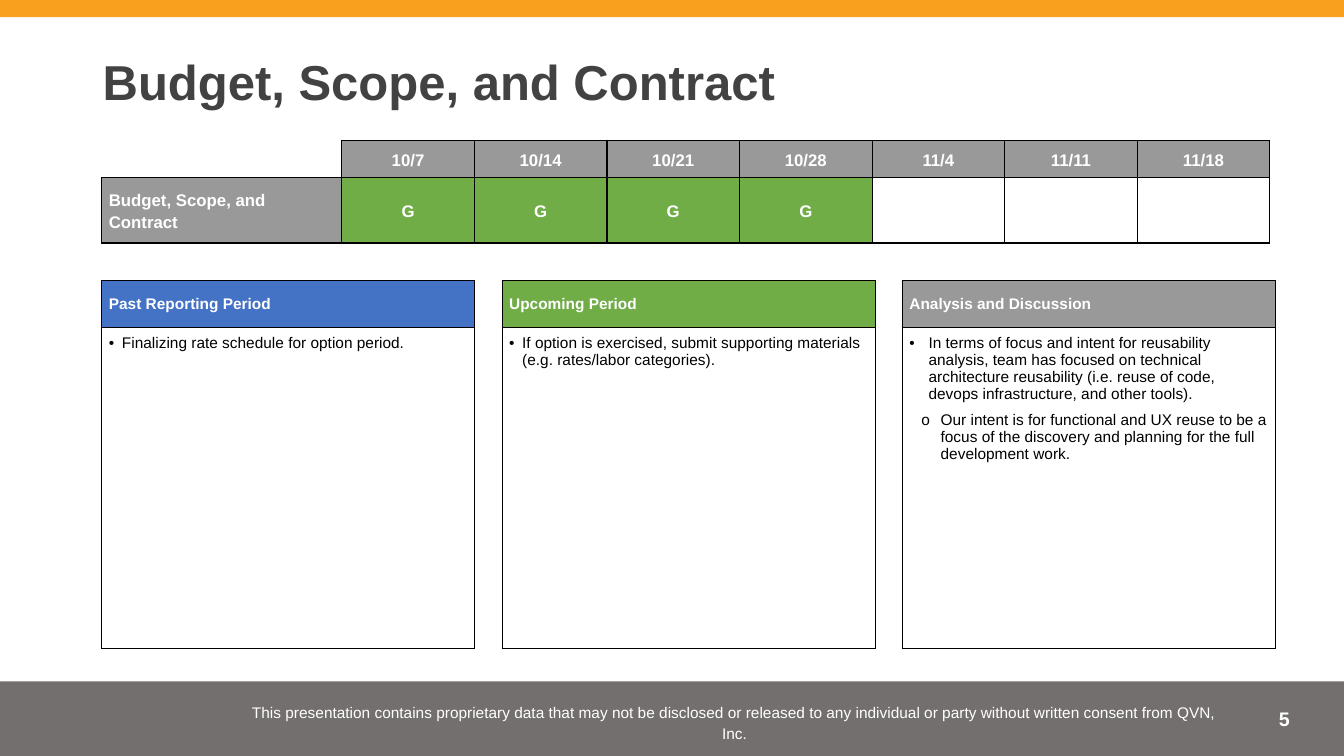
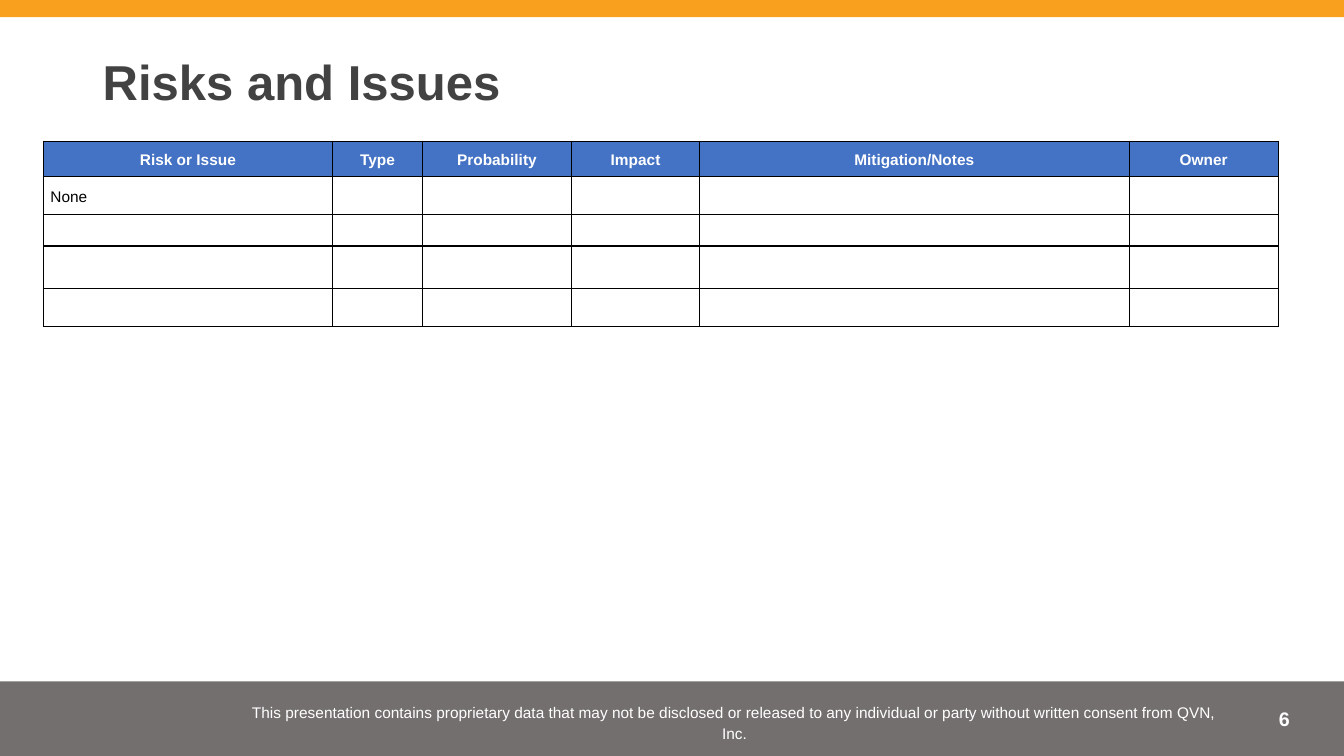
from dataclasses import dataclass

from lxml.etree import SubElement
from pptx import Presentation
from pptx.dml.color import RGBColor
from pptx.enum.shapes import MSO_SHAPE
from pptx.enum.text import MSO_ANCHOR, PP_ALIGN
from pptx.oxml.ns import qn
from pptx.util import Inches, Pt


@dataclass(frozen=True)
class Theme:
    font: str = "Arial"
    white: str = "FFFFFF"
    black: str = "000000"
    ink: str = "424242"
    orange: str = "F9A01E"
    band: str = "4F4949"
    gray: str = "999999"
    green: str = "70AD47"
    blue: str = "4472C4"
    title: int = 35
    page: int = 14
    status: int = 12
    body: int = 11
    blank: int = 8
    pad: float = 0.07
    loose: float = 1.15


WIDTH, HEIGHT = 13.33, 7.5
NOTICE = ("This presentation contains proprietary data that may not be disclosed "
          "or released to any individual or party without written consent from QVN, Inc.")


class Deck:
    def __init__(self, theme):
        self.theme = theme
        self.prs = Presentation()
        self.prs.slide_width = Inches(WIDTH)
        self.prs.slide_height = Inches(HEIGHT)
        self.slide = None

    def page(self, title, number):
        """Start a slide with its bands, footer and title."""
        t = self.theme
        self.slide = self.prs.slides.add_slide(self.prs.slide_layouts[6])
        self.band(6.76, 0.74, t.band, 79)
        self.band(0, 0.17, t.orange)
        self.text((11.81, 6.96, 1.08, 0.4), str(number), t.page, t.white, True,
                  PP_ALIGN.RIGHT, MSO_ANCHOR.TOP, inset=0.05)
        self.text((2.27, 6.89, 10.03, 0.53), NOTICE, t.body, t.white,
                  align=PP_ALIGN.CENTER, spacing=t.loose)
        self.text((0.92, 0.46, 11.5, 0.77), title, t.title, t.ink, True, spacing=0.9)

    def band(self, top, height, color, alpha=100):
        bar = self.slide.shapes.add_shape(
            MSO_SHAPE.RECTANGLE, 0, Inches(top), Inches(WIDTH), Inches(height))
        bar.shadow.inherit = False
        bar.line.fill.background()
        bar.fill.solid()
        bar.fill.fore_color.rgb = RGBColor.from_string(color)
        if alpha < 100:
            paint = bar.fill._xPr.find(".//" + qn("a:srgbClr"))
            SubElement(paint, qn("a:alpha"), val=str(alpha * 1000))

    def text(self, box, words, size, color, bold=False, align=PP_ALIGN.LEFT,
             anchor=MSO_ANCHOR.MIDDLE, spacing=1.0, inset=0.1):
        frame = self.slide.shapes.add_textbox(*map(Inches, box)).text_frame
        frame.word_wrap = True
        frame.vertical_anchor = anchor
        frame.margin_left = frame.margin_right = Inches(0.1)
        frame.margin_top = frame.margin_bottom = Inches(inset)
        para = frame.paragraphs[0]
        para.alignment = align
        para.line_spacing = spacing
        self.run(para, words, size, color, bold)

    def run(self, para, words, size, color, bold=False):
        run = para.add_run()
        run.text = words
        font = run.font
        font.name, font.size, font.bold = self.theme.font, Pt(size), bold
        font.color.rgb = RGBColor.from_string(color)

    def table(self, left, top, cols, rows, corner=True):
        """Add an empty ruled table; corner=False opens its top left cell."""
        table = self.slide.shapes.add_table(
            len(rows), len(cols), Inches(left), Inches(top),
            Inches(sum(cols)), Inches(sum(rows))).table
        table.first_row = table.horz_banding = False
        for col, width in zip(table.columns, cols):
            col.width = Inches(width)
        for row, height in zip(table.rows, rows):
            row.height = Inches(height)
        for cell in table.iter_cells():
            self.rule(cell, "LRTB" if corner else "RB")
            corner = True
            cell.fill.background()
            cell.margin_left = cell.margin_right = Inches(self.theme.pad)
            cell.margin_top = cell.margin_bottom = Inches(self.theme.pad)
            SubElement(cell.text_frame.paragraphs[0]._p, qn("a:endParaRPr"),
                       sz=str(self.theme.blank * 100))
        return table

    def rule(self, cell, sides):
        """Draw the named sides of a cell and clear the others."""
        props = cell._tc.get_or_add_tcPr()
        for side in "LRTB":
            line = SubElement(props, qn("a:ln" + side), w=str(Pt(1)))
            if side in sides:
                fill = SubElement(line, qn("a:solidFill"))
                SubElement(fill, qn("a:srgbClr"), val=self.theme.black)
            else:
                SubElement(line, qn("a:noFill"))

    def cell(self, cell, words, size, fill=None, align=PP_ALIGN.LEFT, spacing=1.15):
        """Write a cell: bold white on a fill, plain black without one."""
        t = self.theme
        cell.vertical_anchor = MSO_ANCHOR.MIDDLE
        if fill:
            cell.fill.solid()
            cell.fill.fore_color.rgb = RGBColor.from_string(fill)
        para = cell.text_frame.paragraphs[0]
        para.alignment = align
        para.line_spacing = spacing
        self.run(para, words, size, t.white if fill else t.black, bool(fill))

    def bullet(self, para, words, mark, left, hang):
        t = self.theme
        para.space_after = Pt(6)
        props = para._p.get_or_add_pPr()
        props.set("marL", str(Inches(left)))
        props.set("indent", str(-Inches(hang)))
        color = SubElement(props, qn("a:buClr"))
        SubElement(color, qn("a:srgbClr"), val=t.black)
        SubElement(props, qn("a:buFont"), typeface=t.font)
        SubElement(props, qn("a:buChar"), char=mark)
        self.run(para, words, t.body, t.black)

    def panel(self, left, title, fill, points):
        """Add a headed box of bullets, each (words, mark, left, hang)."""
        table = self.table(left, 2.78, [3.7], [0.47, 3.18])
        self.cell(table.cell(0, 0), title, self.theme.body, fill, spacing=1.0)
        frame = table.cell(1, 0).text_frame
        for i, point in enumerate(points):
            para = frame.add_paragraph() if i else frame.paragraphs[0]
            self.bullet(para, *point)


def budget(deck):
    t = deck.theme
    deck.page("Budget, Scope, and Contract", 5)
    dates = ["10/7", "10/14", "10/21", "10/28", "11/4", "11/11", "11/18"]
    grades = ["G"] * 4
    table = deck.table(1.01, 1.39, [2.38] + [1.315] * len(dates), [0.35, 0.65], False)
    deck.cell(table.cell(1, 0), "Budget, Scope, and Contract", t.status, t.gray)
    for row, (labels, fill) in enumerate([(dates, t.gray), (grades, t.green)]):
        for col, label in enumerate(labels, 1):
            deck.cell(table.cell(row, col), label, t.status, fill, PP_ALIGN.CENTER)

    panels = [
        ("Past Reporting Period", t.blue, [
            ("Finalizing rate schedule for option period.", "•", 0.13, 0.13)]),
        ("Upcoming Period", t.green, [
            ("If option is exercised, submit supporting materials "
             "(e.g. rates/labor categories).", "•", 0.13, 0.13)]),
        ("Analysis and Discussion", t.gray, [
            ("In terms of focus and intent for reusability analysis, team has focused on "
             "technical architecture reusability (i.e. reuse of code, devops "
             "infrastructure, and other tools).", "•", 0.19, 0.19),
            ("Our intent is for functional and UX reuse to be a focus of the discovery "
             "and planning for the full development work.", "o", 0.31, 0.19)]),
    ]
    for i, panel in enumerate(panels):
        deck.panel(1.01 + 3.97 * i, *panel)


def risks(deck):
    t = deck.theme
    deck.page("Risks and Issues", 6)
    heads = {"Risk or Issue": 2.87, "Type": 0.89, "Probability": 1.48,
             "Impact": 1.27, "Mitigation/Notes": 4.26, "Owner": 1.48}
    table = deck.table(0.43, 1.4, list(heads.values()), [0.34, 0.38, 0.31, 0.42, 0.38])
    for col, head in enumerate(heads):
        deck.cell(table.cell(0, col), head, t.body, t.blue, PP_ALIGN.CENTER)
    deck.cell(table.cell(1, 0), "None", t.body)


def main():
    deck = Deck(Theme())
    budget(deck)
    risks(deck)
    deck.prs.save("out.pptx")


if __name__ == "__main__":
    main()
